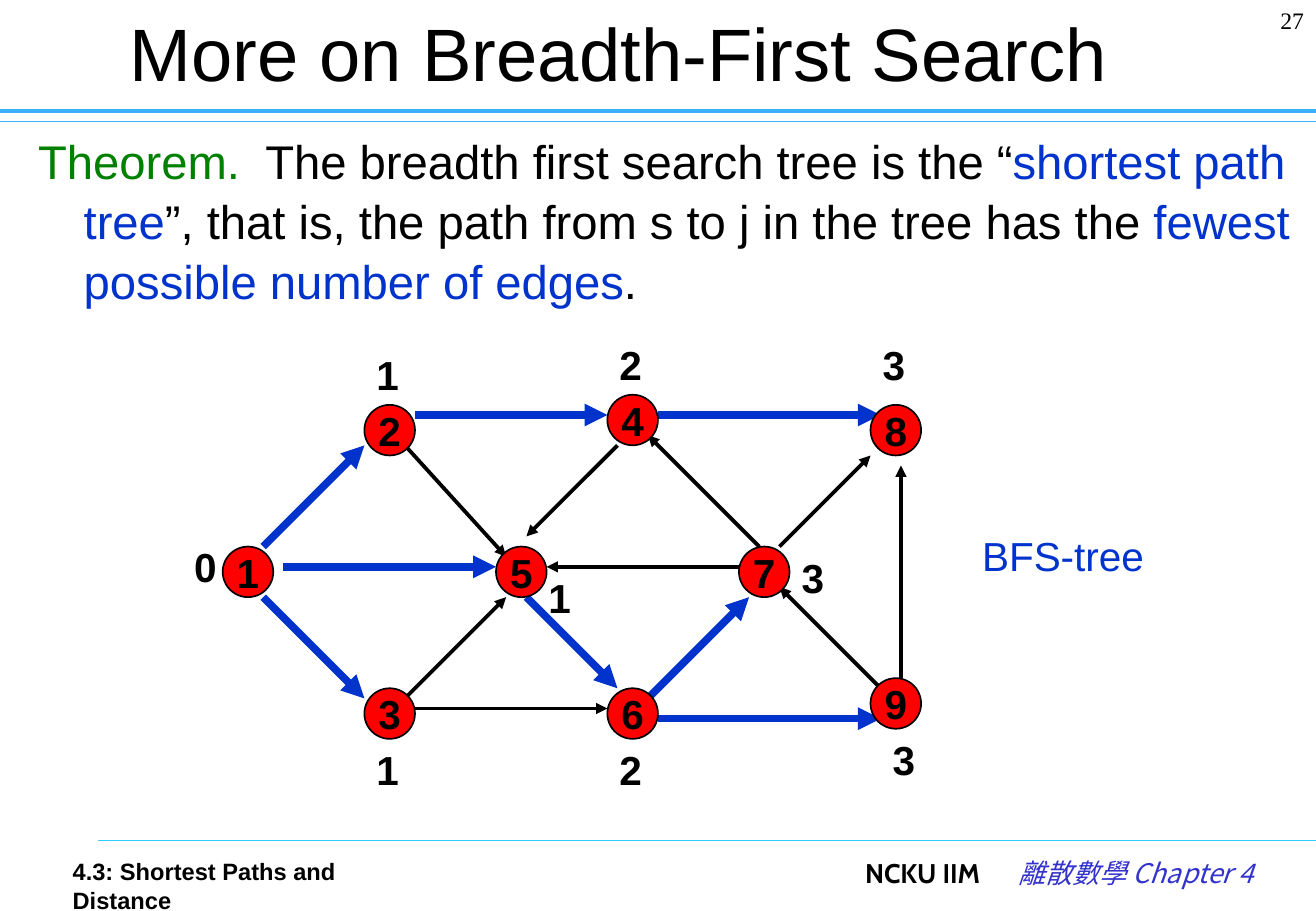
from dataclasses import dataclass

from lxml.etree import SubElement
from pptx import Presentation
from pptx.dml.color import RGBColor as Rgb
from pptx.enum.shapes import MSO_CONNECTOR as Conn, MSO_SHAPE as Kind
from pptx.enum.text import MSO_ANCHOR as Anchor, PP_ALIGN as Align
from pptx.oxml.ns import qn
from pptx.util import Pt


@dataclass(frozen=True)
class Theme:
    black: str = "000000"
    white: str = "FFFFFF"
    red: str = "FF0000"
    green: str = "008000"
    blue: str = "0033CC"
    violet: str = "3333CC"
    rule: str = "3DB0FF"
    base: str = "33CCFF"
    sans: str = "Arial"
    serif: str = "Times New Roman"
    school: str = "Cabin"
    han: str = "Noto Sans CJK SC"
    title: int = 44
    body: int = 28
    mark: int = 24
    foot: int = 16
    small: int = 14


T = Theme()
UNIT = 6  # grid step of the graph
SIZE = 5  # node diameter in grid steps

# Node name: (node column, row), (label column, row), distance
NODES = {
    "1": ((4, 21), (0, 20), "0"),
    "2": ((18, 7), (18, 1), "1"),
    "3": ((18, 35), (18, 40), "1"),
    "4": ((42, 6), (42, 0), "2"),
    "5": ((31, 21), (35, 23), "1"),
    "6": ((42, 35), (42, 40), "2"),
    "7": ((55, 21), (60, 21), "3"),
    "8": ((68, 7), (68, 0), "3"),
    "9": ((68, 34), (69, 39), "3"),
}

# Arrows on the grid: start column, row, end column, row
EDGES = [
    (59, 21, 68, 12), (57, 21, 46, 10), (43, 11, 34, 20),
    (22, 36, 32, 26), (23, 37, 42, 37), (69, 35, 59, 25),
    (71, 34, 71, 13), (55, 23, 36, 23), (22, 11, 32, 22),
]
TREE = [
    (8, 21, 18, 11), (10, 23, 31, 23), (8, 26, 18, 36), (23, 8, 42, 8),
    (47, 8, 69, 8), (34, 26, 43, 35), (46, 36, 56, 26), (47, 38, 69, 38),
]


def style(para, size, color=T.black, face=T.sans, bold=False, italic=False):
    font = para.font
    font.size, font.name = Pt(size), face
    font.bold, font.italic = bold, italic
    font.color.rgb = Rgb.from_string(color)


def write(slide, box, text, size, align=Align.LEFT, wrap=True, **look):
    shape = slide.shapes.add_textbox(*map(Pt, box))
    shape.text_frame.word_wrap = wrap
    para = shape.text_frame.paragraphs[0]
    para.text, para.alignment = text, align
    style(para, size, **look)
    return shape


def draw(slide, ends, color, width, arrow=False):
    line = slide.shapes.add_connector(Conn.STRAIGHT, *map(Pt, ends))
    line.line.color.rgb = Rgb.from_string(color)
    line.line.width = Pt(width)
    if arrow:
        SubElement(line.line._get_or_add_ln(), qn("a:tailEnd"), type="triangle")
    SubElement(line._element.spPr, qn("a:effectLst"))


def place(shape, box):
    shape.left, shape.top, shape.width, shape.height = map(Pt, box)


def header(slide, box):
    left, top, width, height = box
    for drop, thick in ((72, 0.75), (66, 2.5)):
        draw(slide, (left, top + drop, left + width, top + drop), T.rule, thick)
    write(slide, (left + width - 65, top, 65, 36), "27", T.small,
          Align.RIGHT, face=T.serif)
    title = slide.shapes.title
    place(title, (left + 19, top, 696, 62))
    title.text_frame.vertical_anchor = Anchor.MIDDLE
    para = title.text_frame.paragraphs[0]
    para.text, para.alignment = "More on Breadth-First Search", Align.CENTER
    style(para, T.title)


def theorem(slide, box):
    body = slide.placeholders[1]
    place(body, box)
    frame = body.text_frame
    frame.margin_left = frame.margin_right = Pt(3.6)
    frame.margin_top = 0
    para = frame.paragraphs[0]
    props = para._p.get_or_add_pPr()
    props.set("marL", str(Pt(27)))
    props.set("indent", str(Pt(-27)))
    para.space_before, para.line_spacing = Pt(0), 1.05
    SubElement(props, qn("a:buNone"))
    style(para, T.body)
    for text, color in (
        ("Theorem. ", T.green),
        (" The breadth first search tree is the “", T.black),
        ("shortest path tree", T.blue),
        ("”, that is, the path from s to j in the tree has the ", T.black),
        ("fewest possible number of edges", T.blue),
        (".", T.black),
    ):
        run = para.add_run()
        run.text = text
        run.font.color.rgb = Rgb.from_string(color)


def graph(slide, box):
    left, top, width, height = box

    def spot(col, row):
        return left + col * UNIT, top + row * UNIT

    # Distance labels
    for _, cell, dist in NODES.values():
        label = write(slide, (*spot(*cell), 24, 36.5), dist, T.mark, bold=True)
        label.fill.solid()
        label.fill.fore_color.rgb = Rgb.from_string(T.white)

    # Plain edges, then tree edges
    for edges, color, thick in ((EDGES, T.black, 2.25), (TREE, T.blue, 4.5)):
        for edge in edges:
            ends = (*spot(*edge[:2]), *spot(*edge[2:]))
            draw(slide, ends, color, thick, arrow=True)

    # Nodes
    for name, (cell, _, _) in NODES.items():
        side = SIZE * UNIT
        node = slide.shapes.add_shape(
            Kind.OVAL, *map(Pt, (*spot(*cell), side, side)))
        node.shadow.inherit = False
        node.fill.solid()
        node.fill.fore_color.rgb = Rgb.from_string(T.red)
        node.line.color.rgb = Rgb.from_string(T.black)
        node.line.width = Pt(1)
        frame = node.text_frame
        frame.word_wrap, frame.vertical_anchor = False, Anchor.MIDDLE
        para = frame.paragraphs[0]
        para.text, para.alignment = name, Align.CENTER
        style(para, T.mark, bold=True)

    # Caption
    write(slide, (left + width - 112, top + 113, 112, 36.5), "BFS-tree",
          T.mark, wrap=False, color=T.blue)


def footer(slide, box):
    left, top, width, height = box
    draw(slide, (left + 58, top, left + width, top), T.base, 0.75)
    write(slide, (left + 36, top + 6.5, 224, 36),
          "4.3: Shortest Paths and Distance", T.small, bold=True)
    write(slide, (left + 468, top + 6, 120, 36), "NCKU IIM", T.foot,
          Align.RIGHT, face=T.school, bold=True)
    course = write(slide, (left + 590, top + 6, 160, 36),
                   "離散數學 Chapter 4", T.foot, Align.RIGHT,
                   color=T.violet, face=T.han, italic=True)
    props = course.text_frame.paragraphs[0]._p.pPr.find(qn("a:defRPr"))
    SubElement(props, qn("a:ea"), typeface=T.han)


def main():
    deck = Presentation()
    deck.slide_width, deck.slide_height = Pt(780), Pt(540)
    slide = deck.slides.add_slide(deck.slide_layouts[1])
    header(slide, (0, 0, 780, 73))
    theorem(slide, (19, 77, 752, 110))
    graph(slide, (108, 198, 579, 276))
    footer(slide, (0, 498, 780, 42))
    deck.save("out.pptx")


if __name__ == "__main__":
    main()
